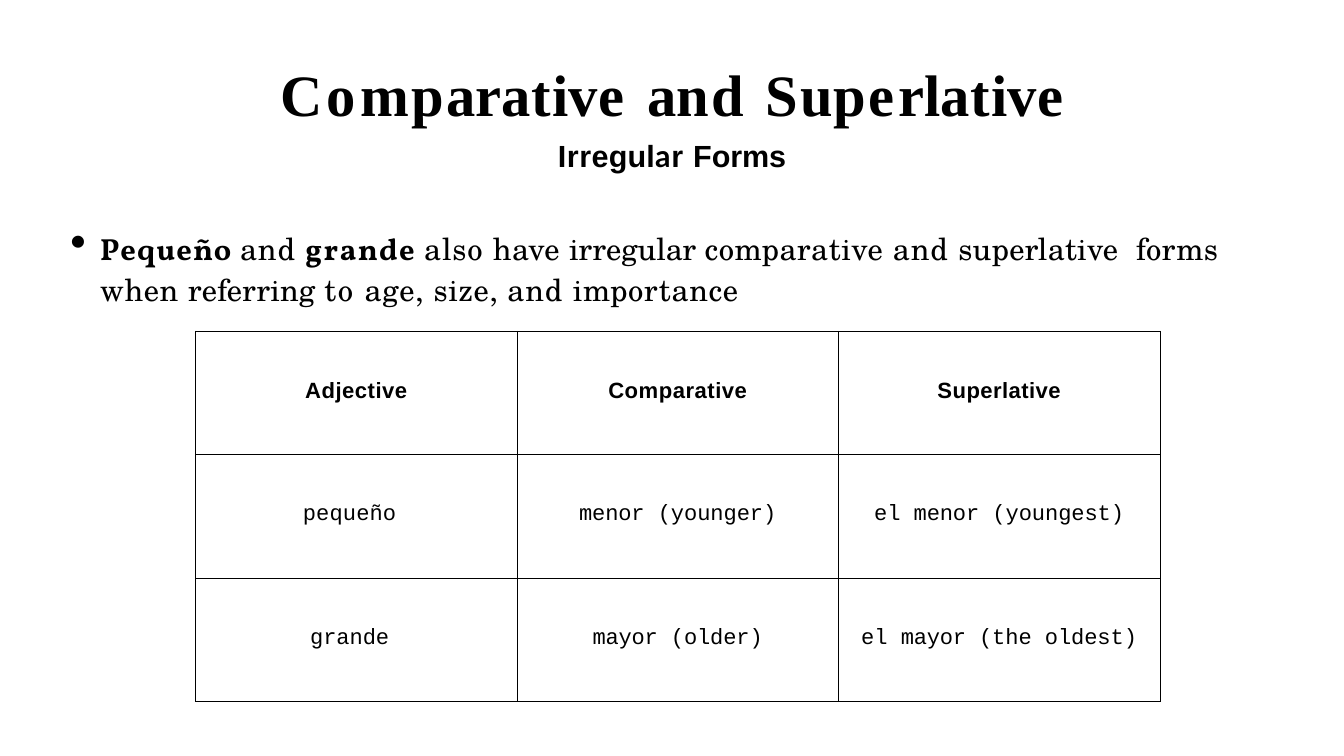
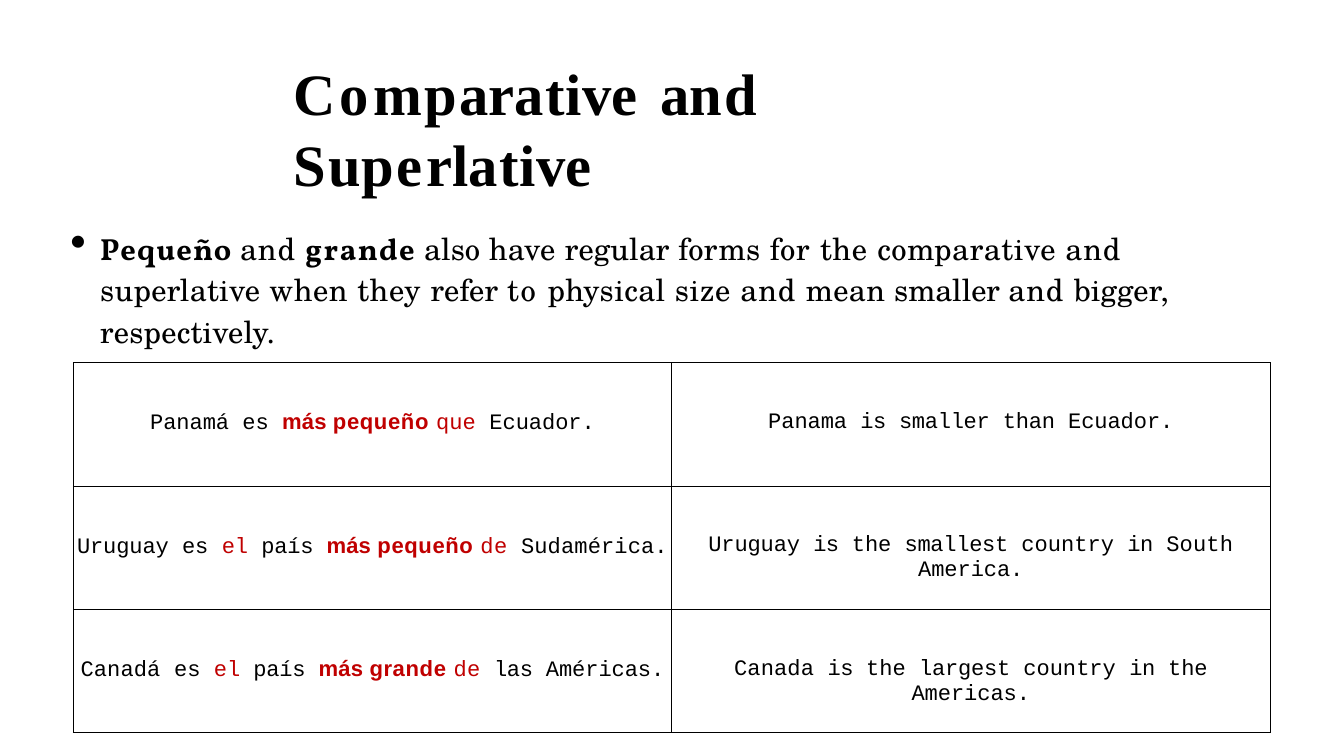
from dataclasses import dataclass
from typing import NamedTuple, Optional

from lxml.etree import SubElement
from pptx import Presentation
from pptx.dml.color import RGBColor
from pptx.enum.text import MSO_ANCHOR, PP_ALIGN
from pptx.oxml.ns import qn
from pptx.slide import Slide
from pptx.table import _Cell as Cell
from pptx.text.text import Font, TextFrame, _Paragraph as Paragraph
from pptx.util import Pt

BLACK = RGBColor(0x00, 0x00, 0x00)
RED = RGBColor(0xC0, 0x00, 0x00)

ROW_HEIGHT = 145.4
CELL_TOP = 56
BORDER_WIDTH = 1
HANGING = 36.7
BULLET_INDENT = -35.3
BULLET_PERCENT = 151


@dataclass(frozen=True)
class Style:
    name: str
    size: float
    bold: bool = False
    color: RGBColor = BLACK


TITLE = Style("Times New Roman", 69, True)
SUBTITLE = Style("Arial", 36, True)
SUBTITLE_ALT = Style("Lato", 36, True)
BODY = Style("TeX Gyre Schola", 36)
TERM = Style("Vollkorn", 36, True)
HEADER = Style("Arial", 26, True)
CELL = Style("Courier New", 26)
RED_CELL = Style("Courier New", 26, color=RED)
RED_TERM = Style("Arial", 26, True, RED)


class Span(NamedTuple):
    text: str
    tracking: float = 0
    style: Optional[Style] = None


class Area(NamedTuple):
    left: float
    top: float
    width: float
    height: float


@dataclass(frozen=True)
class Line:
    spans: list[Span]
    style: Style
    align: PP_ALIGN = PP_ALIGN.LEFT
    before: float = 0
    spacing: Optional[float] = None
    bullet: bool = False


@dataclass(frozen=True)
class TextBlock:
    area: Area
    inset: float
    lines: list[Line]


@dataclass(frozen=True)
class Grid:
    left: float
    top: float
    column_width: float
    rows: list[list[Line]]


@dataclass(frozen=True)
class Lesson:
    blocks: list[TextBlock]
    grid: Grid


def apply_style(font: Font, style: Style) -> None:
    font.name = style.name
    font.size = Pt(style.size)
    font.bold = style.bold
    font.color.rgb = style.color


def add_bullet(para: Paragraph) -> None:
    properties = para._p.get_or_add_pPr()
    properties.set("marL", str(Pt(HANGING)))
    properties.set("indent", str(Pt(BULLET_INDENT)))
    SubElement(properties, qn("a:buSzPct"), val=str(BULLET_PERCENT * 1000))
    SubElement(properties, qn("a:buChar"), char="•")


def write_line(para: Paragraph, line: Line) -> None:
    para.alignment = line.align
    para.space_before = Pt(line.before)
    if line.spacing:
        para.line_spacing = line.spacing
    if line.bullet:
        add_bullet(para)
    apply_style(para.font, line.style)
    for span in line.spans:
        run = para.add_run()
        run.text = span.text
        if span.style:
            apply_style(run.font, span.style)
        run._r.get_or_add_rPr().set("spc", str(round(span.tracking * 100)))


def write_lines(frame: TextFrame, lines: list[Line]) -> None:
    for index, line in enumerate(lines):
        para = frame.add_paragraph() if index else frame.paragraphs[0]
        write_line(para, line)


def draw_block(page: Slide, block: TextBlock) -> None:
    box = page.shapes.add_textbox(*(Pt(length) for length in block.area))
    frame = box.text_frame
    frame.word_wrap = True
    frame.vertical_anchor = MSO_ANCHOR.TOP
    frame.margin_left = frame.margin_right = frame.margin_bottom = 0
    frame.margin_top = Pt(block.inset)
    write_lines(frame, block.lines)


def draw_borders(cell: Cell) -> None:
    properties = cell._tc.get_or_add_tcPr()
    for index, side in enumerate(("a:lnL", "a:lnR", "a:lnT", "a:lnB")):
        border = SubElement(properties, qn(side), w=str(Pt(BORDER_WIDTH)))
        fill = SubElement(border, qn("a:solidFill"))
        SubElement(fill, qn("a:srgbClr"), val=str(BLACK))
        properties.insert(index, border)


def draw_grid(page: Slide, grid: Grid) -> None:
    rows, columns = len(grid.rows), len(grid.rows[0])
    table = page.shapes.add_table(
        rows, columns, Pt(grid.left), Pt(grid.top),
        Pt(grid.column_width * columns), Pt(ROW_HEIGHT * rows),
    ).table
    table.first_row = table.horz_banding = False
    for column in table.columns:
        column.width = Pt(grid.column_width)
    for row, lines in zip(table.rows, grid.rows):
        row.height = Pt(ROW_HEIGHT)
        for cell, line in zip(row.cells, lines):
            cell.margin_left = cell.margin_right = cell.margin_bottom = 0
            cell.margin_top = Pt(CELL_TOP)
            cell.fill.background()
            draw_borders(cell)
            write_lines(cell.text_frame, [line])


def title_line(align: PP_ALIGN, before: float) -> Line:
    ative = [Span("a", 1.1), Span("t", 1.4), Span("i", -0.1), Span("v", -4.3)]
    spans = [
        Span("C", 3.6), Span("o", 5.5), Span("m", 3), Span("p", 2.4),
        Span("a", 0.5), Span("r", -3.9), *ative, Span("e ", 4.8),
        Span("a", 0.5), Span("n", 2.9), Span("d ", 4),
        Span("S", 2), Span("u", 1.3), Span("p", 2.8), Span("e", 4.4),
        Span("r", -2.8), Span("l", -0.2), *ative, Span("e", 4.8),
    ]
    return Line(spans, TITLE, align, before)


def rule_block(width: float, height: float, spans: list[Span]) -> TextBlock:
    opening = [Span("Pequeño ", 1.4, TERM), Span("and ", 1.1), Span("grande ", 1.8, TERM)]
    line = Line(opening + spans, BODY, before=0.9, spacing=1.13, bullet=True)
    return TextBlock(Area(81.4, 264.2, width, height), 0.7, [line])


def entry(*spans: Span, style: Style = CELL) -> Line:
    return Line(list(spans), style, PP_ALIGN.CENTER)


SUBTITLE_LINE = Line(
    [
        Span("Ir", 0.7), Span("r", 0.5), Span("egul", 0.2),
        Span("a", 0.8, SUBTITLE_ALT), Span("r ", 0.8),
        Span("F", -2.8), Span("orms", -0.2),
    ],
    SUBTITLE, PP_ALIGN.CENTER, 10.9,
)

IRREGULAR = Lesson(
    [
        TextBlock(
            Area(307.4, 46.1, 968.4, 159.8), 21.6,
            [title_line(PP_ALIGN.CENTER, 21.6), SUBTITLE_LINE],
        ),
        rule_block(1384.6, 95.8, [
            Span("also ", 1), Span("have ", 0.5), Span("irregular ", -0.1),
            Span("comparative ", 0.7), Span("and ", 1.1),
            Span("superlative", 0.3), Span(" ", 10.5), Span("forms ", 0.5),
            Span("when ", 0.7), Span("referring ", 0.2), Span("to ", 1.8),
            Span("age, ", 0.8), Span("size, ", 0.6), Span("and ", 1.1),
            Span("importance", 0.8),
        ]),
    ],
    Grid(230.4, 390.2, 378.7, [
        [
            entry(Span("Adjective", 0.6), style=HEADER),
            entry(Span("Comparative", 0.6), style=HEADER),
            entry(Span("Superlative", 0.5), style=HEADER),
        ],
        [
            entry(Span("pequeño ", 0.1)),
            entry(Span("menor ", -0.2), Span("(younger)", -0.1)),
            entry(Span("el ", -0.1), Span("menor ", -0.2), Span("(youngest)", -0.1)),
        ],
        [
            entry(Span("grande ", -0.1)),
            entry(Span("mayor ", -0.3), Span("(older)", -0.2)),
            entry(Span("el ", -0.1), Span("mayor ", -0.3), Span("(the oldest)", -0.1)),
        ],
    ]),
)

COUNTRY_OPENING = [Span("es "), Span("el ", -0.1, RED_CELL), Span("país ", -0.3)]
MAS = Span("más ", 0.1, RED_TERM)
PEQUENO = Span("pequeño ", 0.7, RED_TERM)
DE = Span("de ", 0.3, RED_CELL)
IS = Span("is ", -0.7)
THE = Span("the ", -0.1)
COUNTRY_IN = [Span("country "), Span("in ", -0.6)]

REGULAR = Lesson(
    [
        TextBlock(
            Area(346.3, 66.2, 889.9, 85), 1.4,
            [title_line(PP_ALIGN.LEFT, 1.2)],
        ),
        rule_block(1320.5, 144.7, [
            Span("also "), Span("have ", 0.5), Span("regular ", 0.1),
            Span("forms ", 0.5), Span("for ", 1), Span("the ", 0.9),
            Span("comparative ", 0.7), Span("and ", 1.1),
            Span("superlative ", 0.3), Span("when ", 0.7), Span("they ", 0.8),
            Span("refer ", 0.2), Span("to ", 1.8), Span("physical ", 0.5),
            Span("size ", 0.8), Span("and ", 1.1), Span("mean ", 0.4),
            Span("smaller ", -0.1), Span("and ", 1.1), Span("bigger, ", 0.1),
            Span("respectively.", 0.2),
        ]),
    ],
    Grid(86.4, 427, 704.9, [
        [
            entry(Span("Panamá ", -0.1), Span("es "), MAS, PEQUENO,
                  Span("que ", 0.1, RED_CELL), Span("Ecuador.", -0.1)),
            entry(Span("Panama ", -0.1), IS, Span("smaller ", -0.4),
                  Span("than ", -0.3), Span("Ecuador.", -0.1)),
        ],
        [
            entry(Span("Uruguay ", -0.2), *COUNTRY_OPENING, MAS, PEQUENO, DE,
                  Span("Sudamérica.", 0.1)),
            entry(Span("Uruguay ", -0.2), IS, THE, Span("smallest ", -0.4),
                  *COUNTRY_IN, Span("South ", 0.2), Span("America.", -0.1)),
        ],
        [
            entry(Span("Canadá ", 0.1), *COUNTRY_OPENING, MAS,
                  Span("grande ", 0.7, RED_TERM), DE,
                  Span("las ", -0.5), Span("Américas.", -0.1)),
            entry(Span("Canada ", 0.1), IS, THE, Span("largest ", -0.3),
                  *COUNTRY_IN, Span("the Americas.", -0.1)),
        ],
    ]),
)


def build_deck(lessons: list[Lesson]) -> None:
    deck = Presentation()
    deck.slide_width, deck.slide_height = Pt(1583.3), Pt(890.6)
    for lesson in lessons:
        page = deck.slides.add_slide(deck.slide_layouts[6])
        for block in lesson.blocks:
            draw_block(page, block)
        draw_grid(page, lesson.grid)
    deck.save("out.pptx")


build_deck([IRREGULAR, REGULAR])
